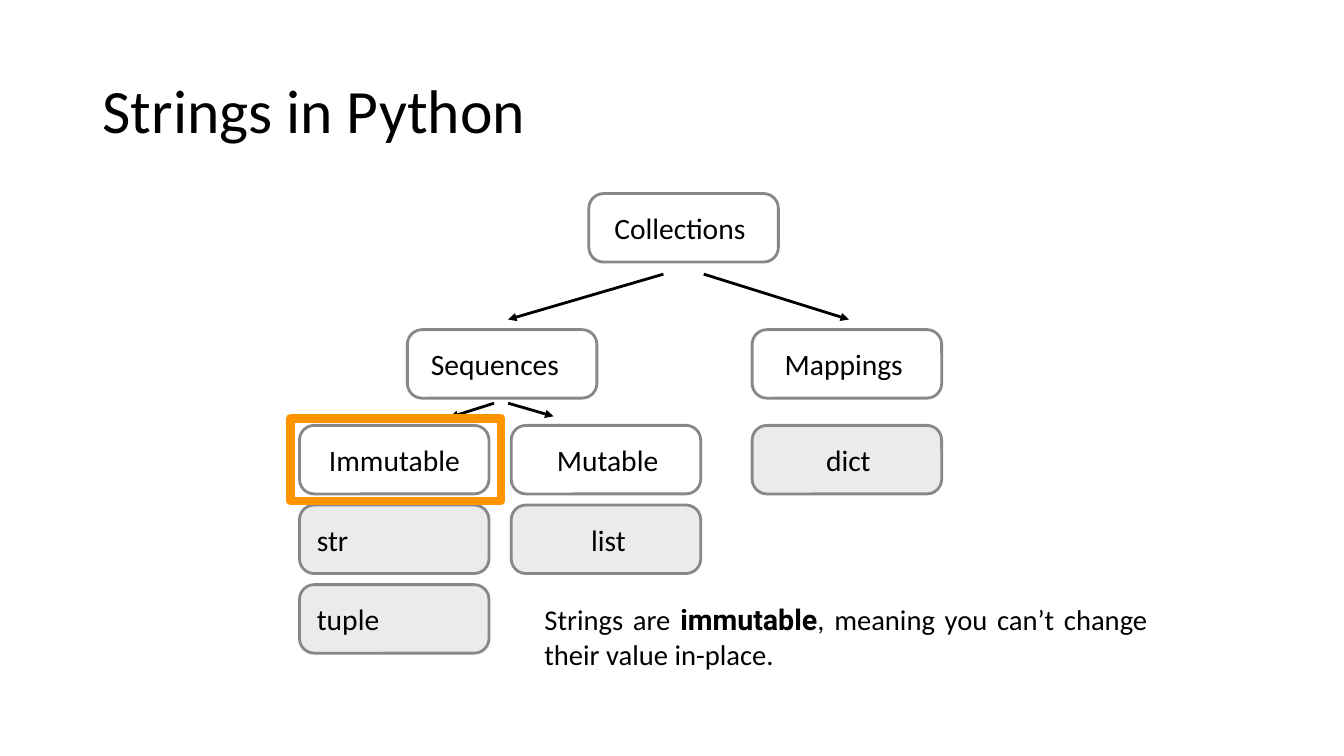
from lxml import etree
from pptx import Presentation
from pptx.dml.color import RGBColor
from pptx.enum.shapes import MSO_CONNECTOR, MSO_SHAPE
from pptx.enum.text import MSO_ANCHOR, PP_ALIGN
from pptx.oxml.ns import qn
from pptx.util import Inches, Pt

ROUNDED, RECTANGLE = MSO_SHAPE.ROUNDED_RECTANGLE, MSO_SHAPE.RECTANGLE
STRAIGHT = MSO_CONNECTOR.STRAIGHT
MIDDLE = MSO_ANCHOR.MIDDLE
LEFT, JUSTIFY = PP_ALIGN.LEFT, PP_ALIGN.JUSTIFY

FONT, BOLD_FONT = "Calibri", "Roboto"
BLACK, GREY, PALE, ORANGE = "000000", "85888D", "EBEBEB", "FF9300"

TITLE = "Strings in Python"
NOTE = [("Strings are ", False), ("immutable", True),
        (", meaning you can’t change their value in-place.", False)]

# label, column, row, text indent, fill
NODES = [
    ("Collections", "root", 0, 0.21, None),
    ("Sequences", "sequences", 1, 0.19, None),
    ("Mappings", "mappings", 1, 0.28, None),
    ("Immutable", "immutable", 2, 0.25, None),
    ("Mutable", "mutable", 2, 0.41, None),
    ("dict", "mappings", 2, 0.69, PALE),
    ("str", "immutable", 3, 0.13, PALE),
    ("list", "mutable", 3, 0.75, PALE),
    ("tuple", "immutable", 4, 0.13, PALE),
]
COLUMNS = {"root": 5.84, "sequences": 4.04, "mappings": 7.46,
           "immutable": 2.97, "mutable": 5.07}
LEAF_TOP, LEAF_PITCH = 4.22, 0.79
ROWS = [1.92, 3.27] + [LEAF_TOP + LEAF_PITCH * step for step in range(3)]
NODE_WIDTH, NODE_HEIGHT = 1.88, 0.68
HIGHLIGHT = (2.88, 4.15, 2.09, 0.82)

# start x, start y, end x, end y
ARROWS = [
    (6.58, 2.72, 5.04, 3.17),
    (6.98, 2.72, 8.42, 3.17),
    (4.90, 4.00, 4.46, 4.14),
    (5.04, 4.00, 5.49, 4.13),
]


def color(hex_string):
    return RGBColor.from_string(hex_string)


def style_font(font, size, name=FONT):
    font.name, font.size = name, Pt(size)
    font.color.rgb = color(BLACK)


def set_frame(frame, left, top, wrap=True):
    """Anchor the text in the middle, with equal insets on opposite sides."""
    frame.word_wrap, frame.vertical_anchor = wrap, MIDDLE
    frame.margin_left = Inches(left)
    frame.margin_right = Inches(left if wrap else 0)
    frame.margin_top = frame.margin_bottom = Inches(top)


def add_outline(slide, kind, box, line_color, line_width, fill=None):
    shape = slide.shapes.add_shape(kind, *map(Inches, box))
    shape.shadow.inherit = False
    if fill:
        shape.fill.solid()
        shape.fill.fore_color.rgb = color(fill)
    else:
        shape.fill.background()
    shape.line.color.rgb = color(line_color)
    shape.line.width = Pt(line_width)
    return shape


def add_node(slide, label, column, row, indent, fill):
    box = (COLUMNS[column], ROWS[row], NODE_WIDTH, NODE_HEIGHT)
    shape = add_outline(slide, ROUNDED, box, GREY, 2, fill)
    shape.adjustments[0] = 0.215
    set_frame(shape.text_frame, indent, 0.04, wrap=False)
    paragraph = shape.text_frame.paragraphs[0]
    paragraph.text, paragraph.alignment = label, LEFT
    style_font(paragraph.font, 21.1)


def add_arrow(slide, ends):
    arrow = slide.shapes.add_connector(STRAIGHT, *map(Inches, ends))
    arrow.line.color.rgb = color(BLACK)
    arrow.line.width = Pt(2)
    etree.SubElement(arrow.line._get_or_add_ln(), qn("a:tailEnd"), type="triangle")
    etree.SubElement(arrow._element.spPr, qn("a:effectLst"))


def add_text(slide, box, insets):
    """Add a text box and return its first paragraph."""
    frame = slide.shapes.add_textbox(*map(Inches, box)).text_frame
    set_frame(frame, *insets)
    return frame.paragraphs[0]


def main():
    presentation = Presentation()
    presentation.slide_width, presentation.slide_height = Inches(13.33), Inches(7.5)
    slide = presentation.slides.add_slide(presentation.slide_layouts[6])

    title = add_text(slide, (0.92, 0.4, 11.5, 1.45), (0.1, 0.05))
    title.text, title.line_spacing = TITLE, 0.9
    style_font(title.font, 44)

    for ends in ARROWS:
        add_arrow(slide, ends)
    for node in NODES:
        add_node(slide, *node)
    add_outline(slide, RECTANGLE, HIGHLIGHT, ORANGE, 6)

    note = add_text(slide, (5.36, 5.93, 6.06, 0.77), (0.04, 0.04))
    note.alignment = JUSTIFY
    for text, bold in NOTE:
        run = note.add_run()
        run.text, run.font.bold = text, bold
        style_font(run.font, 20.4, BOLD_FONT if bold else FONT)

    presentation.save("out.pptx")


if __name__ == "__main__":
    main()
